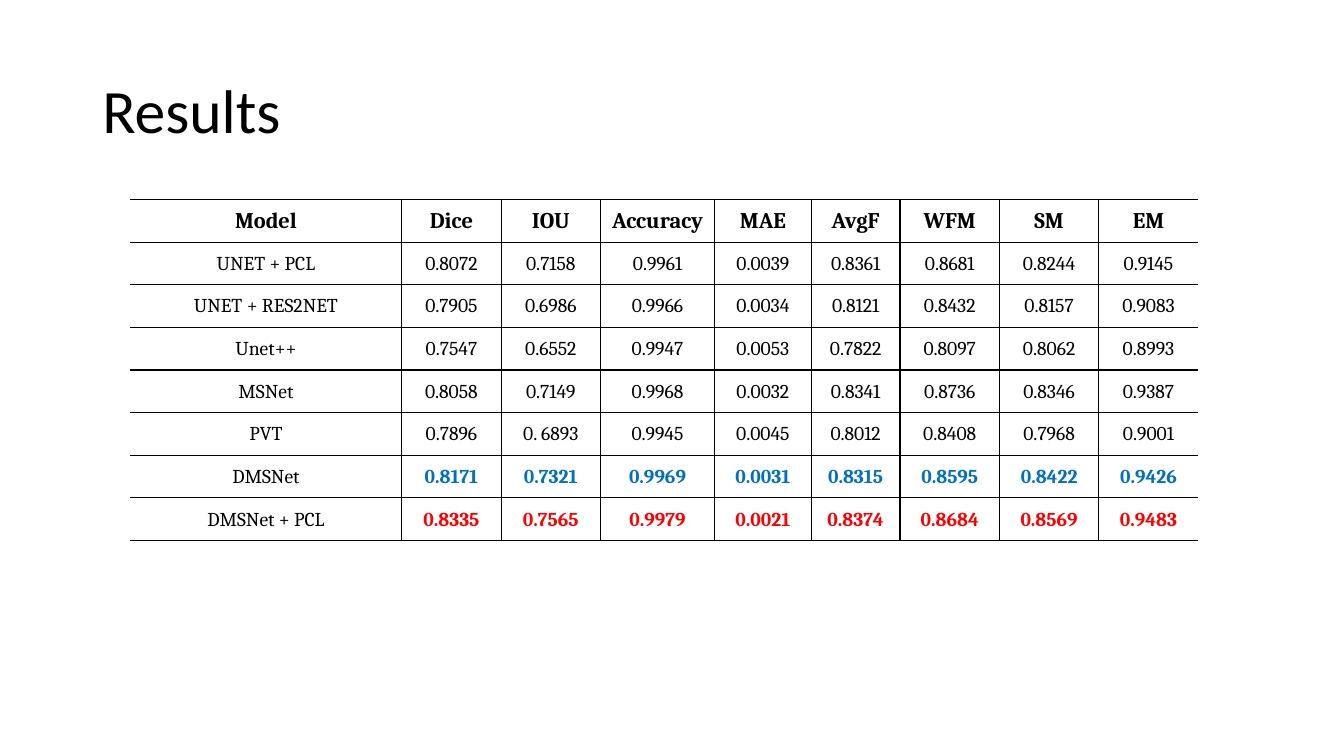
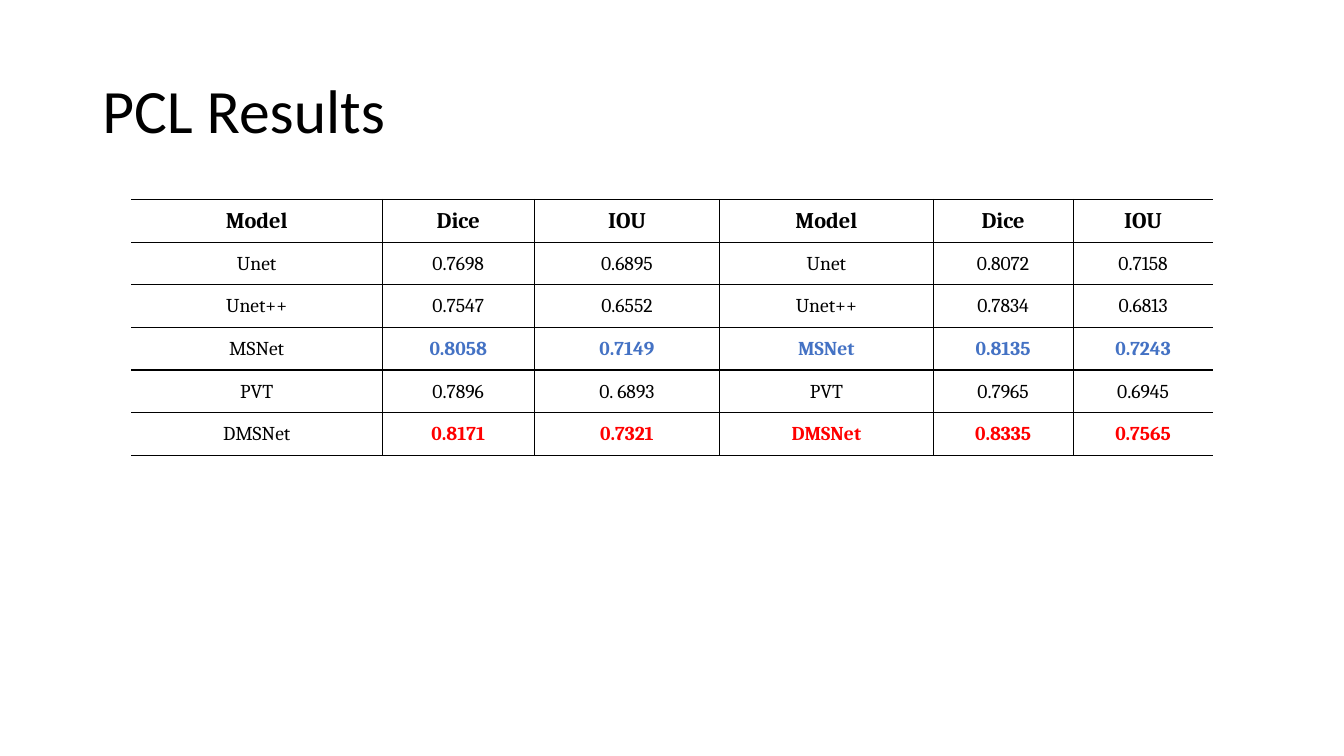
from dataclasses import dataclass

from lxml.etree import SubElement
from pptx import Presentation
from pptx.dml.color import RGBColor
from pptx.enum.text import MSO_ANCHOR, PP_ALIGN
from pptx.oxml.ns import qn
from pptx.slide import Slide
from pptx.table import _Cell as Cell
from pptx.text.text import TextFrame
from pptx.util import Pt

COLORS = {
    "black": "000000",
    "blue": "0070C0",
    "soft_blue": "4472C4",
    "red": "FF0000",
}
TITLE_FONT = "Calibri"
TABLE_FONT = "Cambria"
TABLE_TOP = 142.5
ROW_HEIGHT = 30.45
CELL_MARGIN = 0.7
BORDER_WIDTH = 1


@dataclass(frozen=True)
class TextStyle:
    font: str
    size: float
    bold: bool = False
    color: str = "black"


@dataclass(frozen=True)
class Row:
    """One body row; the highlight colours every cell after the first."""
    values: tuple[str, ...]
    highlight: str | None = None


@dataclass(frozen=True)
class ResultSlide:
    title: str
    left: float
    column_widths: tuple[float, ...]
    header: tuple[str, ...]
    rows: tuple[Row, ...]


TITLE_STYLE = TextStyle(TITLE_FONT, 44)
HEADER_STYLE = TextStyle(TABLE_FONT, 16, bold=True)
BODY_STYLE = TextStyle(TABLE_FONT, 14)

RESULT_SLIDES = (
    ResultSlide(
        "Results",
        93,
        (194, 71, 71, 81.5, 69, 63.5, 71, 71, 71),
        ("Model", "Dice", "IOU", "Accuracy", "MAE", "AvgF", "WFM", "SM", "EM"),
        (
            Row(("UNET + PCL", "0.8072", "0.7158", "0.9961", "0.0039",
                 "0.8361", "0.8681", "0.8244", "0.9145")),
            Row(("UNET + RES2NET", "0.7905", "0.6986", "0.9966", "0.0034",
                 "0.8121", "0.8432", "0.8157", "0.9083")),
            Row(("Unet++", "0.7547", "0.6552", "0.9947", "0.0053",
                 "0.7822", "0.8097", "0.8062", "0.8993")),
            Row(("MSNet", "0.8058", "0.7149", "0.9968", "0.0032",
                 "0.8341", "0.8736", "0.8346", "0.9387")),
            Row(("PVT", "0.7896", "0. 6893", "0.9945", "0.0045",
                 "0.8012", "0.8408", "0.7968", "0.9001")),
            Row(("DMSNet", "0.8171", "0.7321", "0.9969", "0.0031",
                 "0.8315", "0.8595", "0.8422", "0.9426"), "blue"),
            Row(("DMSNet + PCL", "0.8335", "0.7565", "0.9979", "0.0021",
                 "0.8374", "0.8684", "0.8569", "0.9483"), "red"),
        ),
    ),
    ResultSlide(
        "PCL Results",
        93.6,
        (179.5, 108.5, 132.5, 152.5, 100, 100),
        ("Model", "Dice", "IOU") * 2,
        (
            Row(("Unet", "0.7698", "0.6895", "Unet", "0.8072", "0.7158")),
            Row(("Unet++", "0.7547", "0.6552", "Unet++", "0.7834", "0.6813")),
            Row(("MSNet", "0.8058", "0.7149", "MSNet", "0.8135", "0.7243"), "soft_blue"),
            Row(("PVT", "0.7896", "0. 6893", "PVT", "0.7965", "0.6945")),
            Row(("DMSNet", "0.8171", "0.7321", "DMSNet", "0.8335", "0.7565"), "red"),
        ),
    ),
)


def write_text(text_frame: TextFrame, text: str, style: TextStyle,
               alignment: PP_ALIGN) -> None:
    paragraph = text_frame.paragraphs[0]
    paragraph.alignment = alignment
    run = paragraph.add_run()
    run.text = text
    run.font.name = style.font
    run.font.size = Pt(style.size)
    run.font.bold = style.bold
    run.font.color.rgb = RGBColor.from_string(COLORS[style.color])


def add_title(slide: Slide, text: str) -> None:
    text_frame = slide.shapes.add_textbox(Pt(66), Pt(28.75), Pt(828), Pt(104.4)).text_frame
    text_frame.word_wrap = True
    text_frame.vertical_anchor = MSO_ANCHOR.MIDDLE
    write_text(text_frame, text, TITLE_STYLE, PP_ALIGN.LEFT)
    text_frame.paragraphs[0].line_spacing = 0.9


def set_borders(cell: Cell, first: bool, last: bool) -> None:
    """Rule every edge except the outer left and right sides of the table."""
    properties = cell._tc.get_or_add_tcPr()
    for edge, visible in (("L", not first), ("R", not last), ("T", True), ("B", True)):
        line = SubElement(properties, qn(f"a:ln{edge}"), w=str(Pt(BORDER_WIDTH)))
        if visible:
            fill = SubElement(line, qn("a:solidFill"))
            SubElement(fill, qn("a:srgbClr"), val=COLORS["black"])
        else:
            SubElement(line, qn("a:noFill"))


def fill_cell(cell: Cell, text: str, style: TextStyle, first: bool, last: bool) -> None:
    set_borders(cell, first, last)
    cell.fill.background()
    cell.vertical_anchor = MSO_ANCHOR.MIDDLE
    cell.margin_left = cell.margin_right = cell.margin_top = Pt(CELL_MARGIN)
    cell.margin_bottom = Pt(0)
    write_text(cell.text_frame, text, style, PP_ALIGN.CENTER)


def body_style(row: Row, column_index: int) -> TextStyle:
    if row.highlight and column_index > 0:
        return TextStyle(TABLE_FONT, BODY_STYLE.size, True, row.highlight)
    return BODY_STYLE


def add_result_table(slide: Slide, content: ResultSlide) -> None:
    row_count = len(content.rows) + 1
    column_count = len(content.header)
    table = slide.shapes.add_table(
        row_count, column_count, Pt(content.left), Pt(TABLE_TOP),
        Pt(sum(content.column_widths)), Pt(ROW_HEIGHT * row_count),
    ).table
    table.first_row = table.horz_banding = False
    for column, width in zip(table.columns, content.column_widths):
        column.width = Pt(width)
    for table_row in table.rows:
        table_row.height = Pt(ROW_HEIGHT)

    for row_index, row in enumerate((Row(content.header), *content.rows)):
        for column_index, text in enumerate(row.values):
            style = body_style(row, column_index) if row_index else HEADER_STYLE
            fill_cell(table.cell(row_index, column_index), text, style,
                      column_index == 0, column_index == column_count - 1)


def main() -> None:
    presentation = Presentation()
    presentation.slide_width = Pt(960)
    presentation.slide_height = Pt(540)
    blank_layout = presentation.slide_layouts[6]
    for content in RESULT_SLIDES:
        slide = presentation.slides.add_slide(blank_layout)
        add_title(slide, content.title)
        add_result_table(slide, content)
    presentation.save("out.pptx")


if __name__ == "__main__":
    main()
